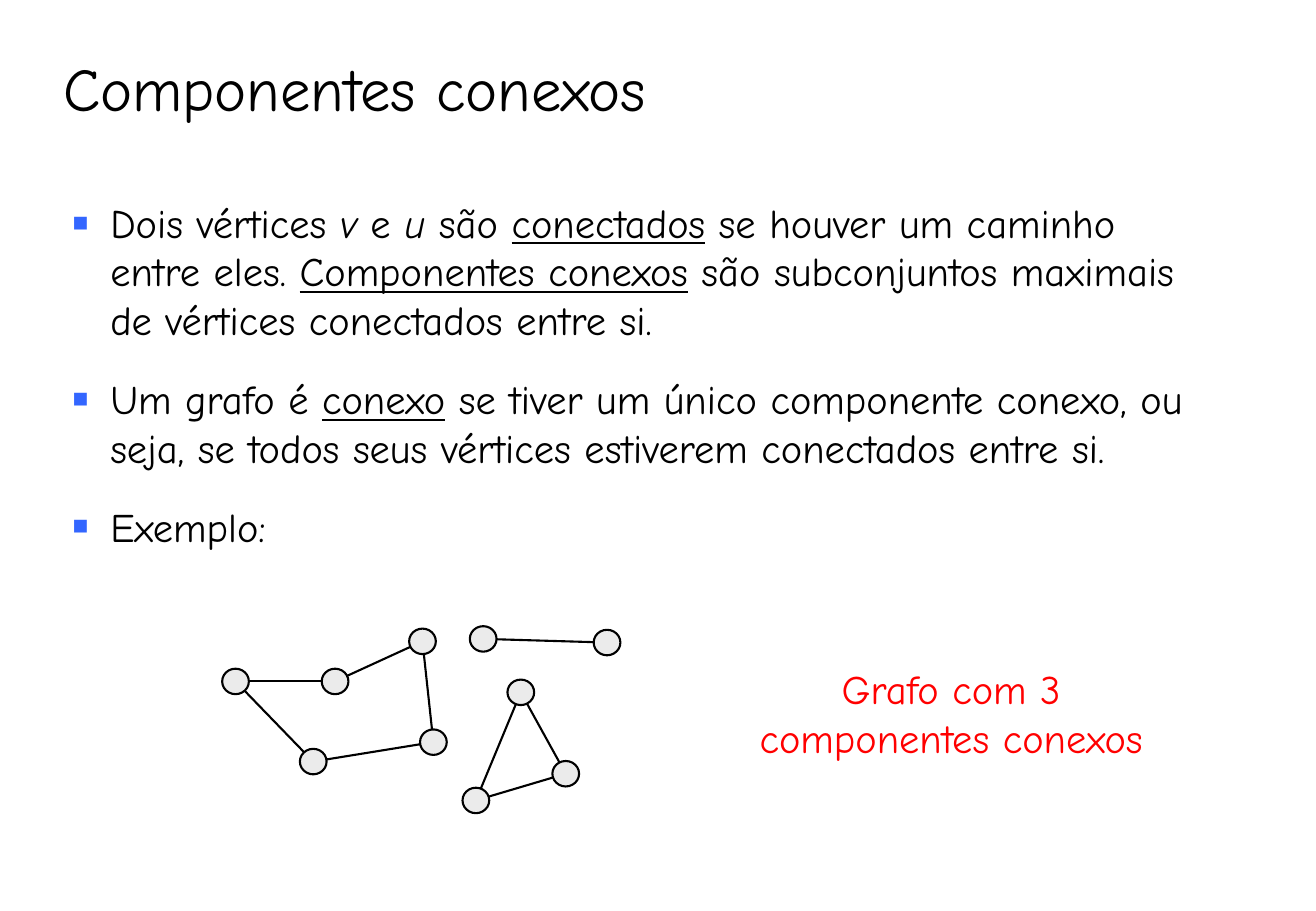
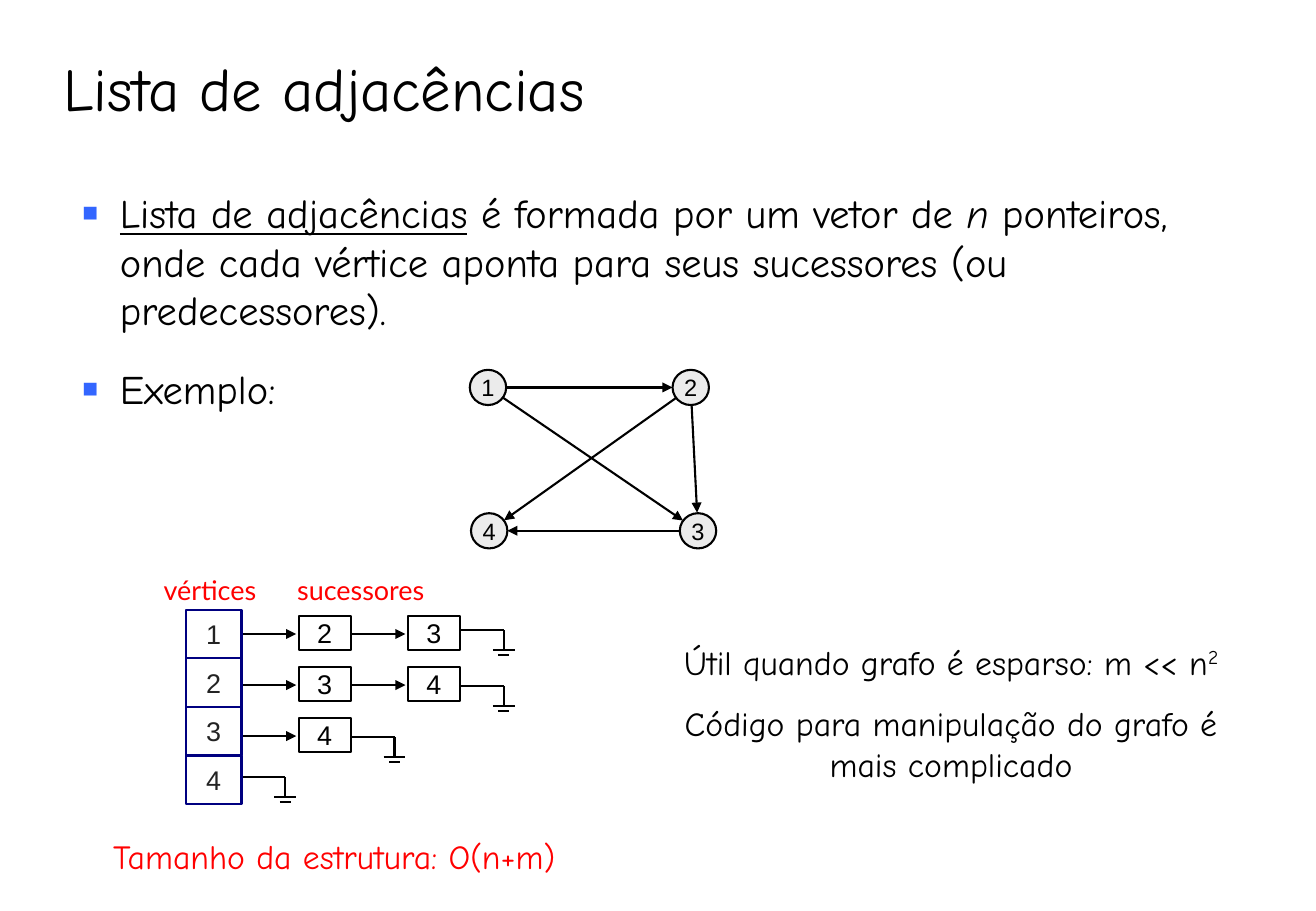
from math import hypot

from lxml import etree
from pptx import Presentation
from pptx.dml.color import RGBColor
from pptx.enum.shapes import MSO_CONNECTOR, MSO_SHAPE
from pptx.enum.text import MSO_ANCHOR, MSO_AUTO_SIZE, PP_ALIGN
from pptx.oxml.ns import qn
from pptx.util import Inches, Pt

# All positions are columns and rows of this square grid cell
CELL = Inches(0.1)
COLUMNS, ROWS = 108.4, 75

BLACK = RGBColor(0x00, 0x00, 0x00)
CHARCOAL = RGBColor(0x23, 0x23, 0x23)
RED = RGBColor(0xFF, 0x00, 0x00)
NAVY = RGBColor(0x00, 0x00, 0x80)
BLUE = RGBColor(0x33, 0x66, 0xFF)
GREY = RGBColor(0xEB, 0xEB, 0xEB)

STROKE = Pt(1.25)
HAND, PLAIN, CAPTION = "Comic Neue", "Arial", "Lato"
LEFT, CENTER = PP_ALIGN.LEFT, PP_ALIGN.CENTER
ITALIC, UNDERLINE = {"italic": True}, {"underline": True}


def write(frame, paragraphs, face, size, colour, align=LEFT, gap=0, bullets=False):
    """Fill a text frame; each paragraph is a list of (text, font changes)."""
    frame.word_wrap = True
    frame.auto_size = MSO_AUTO_SIZE.NONE
    for index, runs in enumerate(paragraphs):
        paragraph = frame.add_paragraph() if index else frame.paragraphs[0]
        if bullets:
            props = paragraph._p.get_or_add_pPr()
            props.set("marL", str(Inches(0.31)))
            props.set("indent", str(-Inches(0.31)))
            tint = etree.SubElement(props, qn("a:buClr"))
            etree.SubElement(tint, qn("a:srgbClr"), val=str(BLUE))
            etree.SubElement(props, qn("a:buSzPct"), val="65000")
            etree.SubElement(props, qn("a:buFont"), typeface=PLAIN)
            etree.SubElement(props, qn("a:buChar"), char="■")
        paragraph.alignment = align
        paragraph.space_before = Pt(gap if index else 0)
        for text, changes in runs:
            run = paragraph.add_run()
            run.text = text
            run.font.color.rgb = colour
            for key, value in {"name": face, "size": Pt(size), **changes}.items():
                setattr(run.font, key, value)


def link(slide, start, end, colour=BLACK, arrow=False):
    """Draw a straight line, with an arrowhead at its end if asked."""
    ends = [round(value * CELL) for value in (*start, *end)]
    line = slide.shapes.add_connector(MSO_CONNECTOR.STRAIGHT, *ends)
    line.line.color.rgb = colour
    line.line.width = STROKE
    if arrow:
        etree.SubElement(line.line._get_or_add_ln(), qn("a:tailEnd"), type="triangle")
    etree.SubElement(line._element.spPr, qn("a:effectLst"))


deck = Presentation()
deck.slide_width, deck.slide_height = round(COLUMNS * CELL), ROWS * CELL

# Slides and titles
slides = []
for title_text in ("Componentes conexos", "Lista de adjacências"):
    slide = deck.slides.add_slide(deck.slide_layouts[5])
    slides.append(slide)
    title = slide.shapes.title
    place = {"left": 4.2, "top": 2.5, "width": 97.5, "height": 8.3}
    for side, value in place.items():
        setattr(title, side, round(value * CELL))
    write(title.text_frame, [[(title_text, {})]], HAND, 36, BLACK)
    title.text_frame.vertical_anchor = MSO_ANCHOR.BOTTOM
    title.text_frame.paragraphs[0].line_spacing = 0.9
components, adjacency = slides

# Running text: slide, (left, top, width, height), paragraphs, format
definitions = [
    [("Dois vértices ", {}), ("v", ITALIC), (" e ", {}), ("u", ITALIC), (" são ", {}),
     ("conectados", UNDERLINE), (" se houver um caminho entre eles. ", {}),
     ("Componentes conexos", UNDERLINE),
     (" são subconjuntos maximais de vértices conectados entre si.", {})],
    [("Um grafo é ", {}), ("conexo", UNDERLINE),
     (" se tiver um único componente conexo, ou seja, se todos seus vértices "
      "estiverem conectados entre si.", {})],
    [("Exemplo:", {})],
]
list_definition = [
    [("Lista de adjacências", UNDERLINE), (" é formada por um vetor de ", {}),
     ("n", ITALIC),
     (" ponteiros, onde cada vértice aponta para seus sucessores "
      "(ou predecessores).", {})],
    [("Exemplo:", {})],
]
remarks = [
    [("Útil quando grafo é esparso: m << n", {}), ("2", {})],
    [("Código para manipulação do grafo é mais complicado", {})],
]
bulleted = {"face": HAND, "size": 24, "colour": BLACK, "gap": 18, "bullets": True}
centred = {"face": HAND, "size": 20, "colour": BLACK, "align": CENTER, "gap": 12.5}
passages = [
    (components, (5, 15.8, 94.5, 35), definitions, bulleted),
    (components, (60, 54.2, 36.7, 9), [[("Grafo com 3 componentes conexos", {})]],
     {**centred, "size": 24, "colour": RED}),
    (adjacency, (5.8, 15, 97.5, 20), list_definition, bulleted),
    (adjacency, (6.7, 68.3, 41.7, 4.4), [[("Tamanho da estrutura: O(n+m)", {})]],
     {**centred, "colour": RED}),
    (adjacency, (54.2, 52.3, 48.3, 12.8), remarks, centred),
    (adjacency, (12.5, 46.7, 30.5, 3.7), [[("vértices\tsucessores", {})]],
     {"face": CAPTION, "size": 16, "colour": RED}),
]
frames = []
for slide, area, paragraphs, style in passages:
    box = slide.shapes.add_textbox(*[round(value * CELL) for value in area])
    write(box.text_frame, paragraphs, **style)
    frames.append(box.text_frame)
remarks_frame, headings_frame = frames[-2:]
exponent = remarks_frame.paragraphs[0].runs[-1]
exponent._r.get_or_add_rPr().set("baseline", "30000")
stops = etree.SubElement(headings_frame.paragraphs[0]._p.get_or_add_pPr(), qn("a:tabLst"))
etree.SubElement(stops, qn("a:tab"), pos=str(11 * CELL), algn="l")

# Graphs: slide, node size, {node: centre}, edges, directed
graphs = [
    (components, (2.2, 2.1),
     {"a": (19.4, 56.1), "b": (27.6, 56.1), "c": (34.8, 52.8), "d": (35.7, 61.1),
      "e": (25.8, 62.7), "f": (42.9, 57.0), "g": (46.6, 63.7), "h": (39.2, 65.9),
      "i": (39.8, 52.6), "j": (50.0, 52.9)},
     ("ab", "bc", "cd", "ed", "ae", "fh", "gh", "fg", "ij"), False),
    (adjacency, (3, 2.9),
     {"1": (40.2, 31.9), "2": (56.9, 31.9), "3": (57.5, 43.7), "4": (40.3, 43.7)},
     ("12", "13", "23", "24", "34"), True),
]
# Outlined shapes: slide, preset, centre, size, fill, line, label, label size, label colour
outlined = []
for slide, size, nodes, edges, directed in graphs:
    for name, centre in nodes.items():
        label = name if directed else ""
        outlined.append((slide, MSO_SHAPE.OVAL, centre, size, GREY, BLACK, label, 14, BLACK))
    for tail, head in edges:
        (x1, y1), (x2, y2) = nodes[tail], nodes[head]
        trim = size[0] / 2 / hypot(x2 - x1, y2 - y1)
        dx, dy = (x2 - x1) * trim, (y2 - y1) * trim
        link(slide, (x1 + dx, y1 + dy), (x2 - dx, y2 - dy), arrow=directed)

# Adjacency lists: vertex, successors, row where the final ground symbol starts
chains = [("1", "23", 51.9), ("2", "34", 56.5), ("3", "4", 60.7), ("4", "", 64)]
VERTEX_SIZE, ITEM_SIZE = (4.6, 4), (4.3, 2.8)
VERTEX_RIGHT, ITEM_PITCH, CHAIN_PITCH = 19.9, 9, 4.2
for row, (vertex, successors, ground) in enumerate(chains):
    centre = (VERTEX_RIGHT - VERTEX_SIZE[0] / 2, 52.2 + row * VERTEX_SIZE[1])
    outlined.append((adjacency, MSO_SHAPE.RECTANGLE, centre, VERTEX_SIZE, None, NAVY,
                     vertex, 16, CHARCOAL))
    middle = 52.2 + row * CHAIN_PITCH
    for column, successor in enumerate(successors):
        start = VERTEX_RIGHT + column * ITEM_PITCH
        link(adjacency, (start, middle), (start + 4.5, middle), arrow=True)
        centre = (start + ITEM_PITCH - ITEM_SIZE[0] / 2, middle - 0.1)
        outlined.append((adjacency, MSO_SHAPE.RECTANGLE, centre, ITEM_SIZE, None, BLACK,
                         successor, 16, BLACK))
    start = VERTEX_RIGHT + len(successors) * ITEM_PITCH
    stem, floor = start + 3.6, ground + 1.65
    link(adjacency, (start, ground), (stem, ground))
    link(adjacency, (stem, ground), (stem, floor))
    for half, drop in ((0.9, 0), (0.45, 0.35)):
        link(adjacency, (stem - half, floor + drop), (stem + half, floor + drop))

for slide, preset, (x, y), (width, height), fill, edge, label, size, colour in outlined:
    area = (x - width / 2, y - height / 2, width, height)
    shape = slide.shapes.add_shape(preset, *[round(value * CELL) for value in area])
    shape.shadow.inherit = False
    if fill:
        shape.fill.solid()
        shape.fill.fore_color.rgb = fill
    else:
        shape.fill.background()
    shape.line.color.rgb = edge
    shape.line.width = STROKE
    if label:
        frame = shape.text_frame
        for side in ("left", "top", "right", "bottom"):
            setattr(frame, f"margin_{side}", 0)
        write(frame, [[(label, {})]], PLAIN, size, colour, CENTER)
        frame.vertical_anchor = MSO_ANCHOR.MIDDLE

deck.save("out.pptx")
